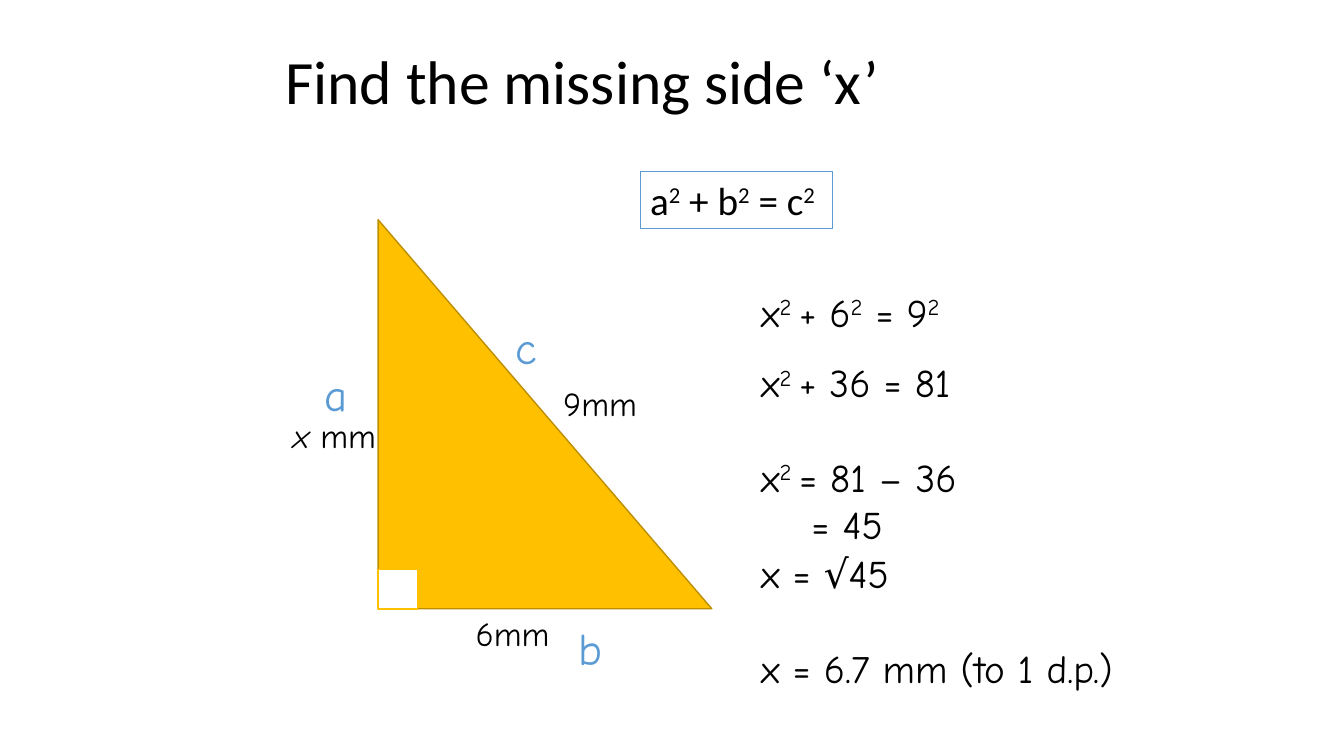
from dataclasses import dataclass

from pptx import Presentation
from pptx.dml.color import RGBColor
from pptx.enum.shapes import MSO_SHAPE
from pptx.enum.text import MSO_ANCHOR, PP_ALIGN
from pptx.util import Inches, Pt


@dataclass(frozen=True)
class Theme:
    ink: RGBColor = RGBColor.from_string("000000")
    paper: RGBColor = RGBColor.from_string("FFFFFF")
    accent: RGBColor = RGBColor.from_string("5B9BD5")
    triangle: RGBColor = RGBColor.from_string("FFC000")
    triangle_edge: RGBColor = RGBColor.from_string("BD8E00")
    heading_font: str = "Calibri"
    body_font: str = "Comic Neue"
    title_size: int = 44
    letter_size: int = 32
    working_size: int = 28
    measure_size: int = 24


THEME = Theme()


@dataclass(frozen=True)
class Box:
    left: float
    top: float
    width: float
    height: float

    def inside(self, dx, dy, width, height):
        return Box(self.left + dx, self.top + dy, width, height)

    def lengths(self):
        return [Inches(n) for n in (self.left, self.top, self.width, self.height)]


def powers(text):
    pieces = text.split("^")
    return [(piece, "power" if i % 2 else "") for i, piece in enumerate(pieces)]


def add_runs(paragraph, runs, size, font, color):
    for text, style in runs:
        run = paragraph.add_run()
        run.text = text
        run.font.size = Pt(size)
        run.font.name = font
        run.font.color.rgb = color
        if style == "italic":
            run.font.italic = True
        if style == "power":
            run.font._element.set("baseline", "30000")


def add_text(slide, box, runs, size, font=THEME.body_font, color=THEME.ink):
    frame = slide.shapes.add_textbox(*box.lengths()).text_frame
    frame.word_wrap = True
    add_runs(frame.paragraphs[0], runs, size, font, color)
    return frame


def add_outlined(slide, preset, box, fill, edge):
    outlined = slide.shapes.add_shape(preset, *box.lengths())
    outlined.shadow.inherit = False
    outlined.fill.solid()
    outlined.fill.fore_color.rgb = fill
    outlined.line.color.rgb = edge
    outlined.line.width = Pt(1)
    return outlined


def add_title(slide, box):
    title = add_text(slide, box, [("Find the missing side ‘x’", "")],
                     THEME.title_size, THEME.heading_font)
    title.vertical_anchor = MSO_ANCHOR.MIDDLE
    title.paragraphs[0].line_spacing = 0.9


def add_triangle(slide, box):
    corner = 0.39
    add_outlined(slide, MSO_SHAPE.RIGHT_TRIANGLE, box,
                 THEME.triangle, THEME.triangle_edge)
    add_outlined(slide, MSO_SHAPE.RECTANGLE,
                 box.inside(0, box.height - corner, corner, corner),
                 THEME.paper, THEME.triangle)
    for letter, dx, dy in (("c", 1.26, 0.94), ("a", -0.63, 1.41), ("b", 1.89, 3.93)):
        add_text(slide, box.inside(dx, dy, 0.71, 0.64), [(letter, "")],
                 THEME.letter_size, color=THEME.accent)
    measures = (
        ([("9mm", "")], 1.74, 1.57),
        ([("6mm", "")], 0.87, 3.85),
        ([("x", "italic"), (" mm", "")], -0.94, 1.89),
    )
    for runs, dx, dy in measures:
        add_text(slide, box.inside(dx, dy, 2.36, 0.51), runs, THEME.measure_size)


def add_formula(slide, box):
    formula = add_outlined(slide, MSO_SHAPE.RECTANGLE, box,
                           THEME.paper, THEME.accent).text_frame
    formula.word_wrap = True
    formula.vertical_anchor = MSO_ANCHOR.TOP
    equation = formula.paragraphs[0]
    equation.alignment = PP_ALIGN.LEFT
    add_runs(equation, powers("a^2^ + b^2^ = c^2"), THEME.working_size,
             THEME.heading_font, THEME.ink)


def add_working(slide, box):
    gap = 34
    indent = 0.5
    steps = (
        (0, 3.31, 0.57, [("x^2 ^+ 6^2^ = 9^2", 0, 0)]),
        (0.7, 3.15, 1.83, [("x^2 ^+ 36 = 81", 0, 0),
                           ("x^2 ^= 81 – 36", gap, 0),
                           ("= 45", 0, indent)]),
        (2.59, 4.21, 1.51, [("x = √45", 0, 0),
                            ("x = 6.7 mm (to 1 d.p.)", gap, 0)]),
    )
    for dy, width, height, lines in steps:
        (first, _, _), *rest = lines
        step = add_text(slide, box.inside(0, dy, width, height),
                        powers(first), THEME.working_size)
        for text, space, margin in rest:
            line = step.add_paragraph()
            if space:
                line.space_before = Pt(space)
            if margin:
                line._p.get_or_add_pPr().set("marL", str(Inches(margin)))
            add_runs(line, powers(text), THEME.working_size,
                     THEME.body_font, THEME.ink)


def main():
    presentation = Presentation()
    presentation.slide_width = Inches(13.33)
    presentation.slide_height = Inches(7.5)
    slide = presentation.slides.add_slide(presentation.slide_layouts[6])
    add_title(slide, Box(2.73, 0.28, 8.5, 1.11))
    add_triangle(slide, Box(3.75, 2.18, 3.31, 3.86))
    add_formula(slide, Box(6.35, 1.7, 1.91, 0.57))
    add_working(slide, Box(7.45, 2.81, 4.21, 4.1))
    presentation.save("out.pptx")


if __name__ == "__main__":
    main()
